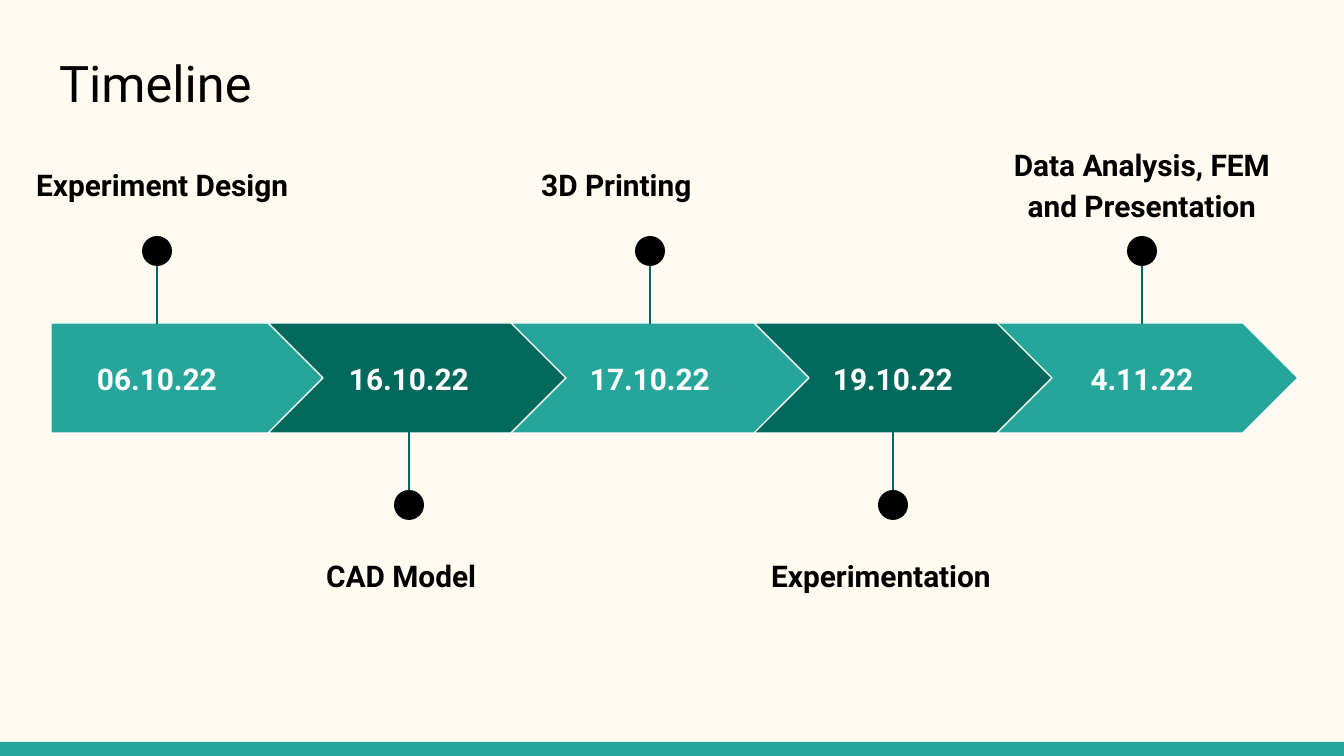
from dataclasses import dataclass

from lxml.etree import SubElement
from pptx import Presentation
from pptx.dml.color import RGBColor
from pptx.enum.shapes import MSO_CONNECTOR, MSO_SHAPE
from pptx.enum.text import MSO_ANCHOR, PP_ALIGN
from pptx.oxml.ns import qn
from pptx.util import Emu, Pt


@dataclass(frozen=True)
class Theme:
    font: str = "Roboto"
    background: str = "FFFBF0"
    light: str = "26A69A"
    dark: str = "00695C"
    ink: str = "000000"
    white: str = "FFFFFF"
    title_size: int = 27
    text_size: int = 16
    line_width: float = 0.75


THEME = Theme()
EMU_PER_PX = 914400 / 134.4
PAGE_WIDTH, PAGE_HEIGHT = 1344, 756

# Arrow band
BAND_LEFT, BAND_TOP, BAND_HEIGHT = 51, 323, 110
FIRST_WIDTH, CHEVRON_WIDTH = 275, 301
CHEVRON_LEFT, CHEVRON_STEP = 268, 243
DATE_TOP, DATE_WIDTH, DATE_HEIGHT = 344, 194, 69

# Pins: dot top, then line start and end
DOT_SIZE = 30
PIN_ABOVE = (236, 242, 324)
PIN_BELOW = (490, 513, 431)

# Date, centre of date and pin, label, label box, label alignment
STEPS = [
    ("06.10.22", 157, "Experiment Design", (23, 148, 329, 69), PP_ALIGN.LEFT),
    ("16.10.22", 409, "CAD Model", (313, 539, 194, 87), PP_ALIGN.LEFT),
    ("17.10.22", 650, "3D Printing", (528, 148, 243, 69), PP_ALIGN.LEFT),
    ("19.10.22", 893, "Experimentation", (758, 539, 292, 74), PP_ALIGN.LEFT),
    ("4.11.22", 1142, "Data Analysis, FEM and Presentation",
     (984, 128, 316, 110), PP_ALIGN.CENTER),
]


def px(*lengths):
    return [Emu(round(length * EMU_PER_PX)) for length in lengths]


def color(value):
    return RGBColor.from_string(value)


def set_all(target, values):
    for name, value in values.items():
        setattr(target, name, value)


def add_block(parent, kind, bounds, fill, line=None):
    block = parent.shapes.add_shape(kind, *px(*bounds))
    block.shadow.inherit = False
    block.fill.solid()
    block.fill.fore_color.rgb = color(fill)
    if line:
        block.line.color.rgb = color(line)
        block.line.width = Pt(THEME.line_width)
    else:
        block.line.fill.background()
    return block


def add_text(page, text, bounds, font, paragraph, anchor=MSO_ANCHOR.TOP):
    frame = page.shapes.add_textbox(*px(*bounds)).text_frame
    inset = Pt(7.2)
    set_all(frame, {"word_wrap": True, "vertical_anchor": anchor,
                    "margin_left": inset, "margin_right": inset,
                    "margin_top": inset, "margin_bottom": inset})
    para = frame.paragraphs[0]
    set_all(para, paragraph)
    span = para.add_run()
    span.text = text
    ink = font.pop("ink", THEME.ink)
    set_all(span.font, {"name": THEME.font, **font})
    span.font.color.rgb = color(ink)


def add_pin(page, center, heights):
    dot_top, start, end = heights
    pin = page.shapes.add_group_shape()
    line = pin.shapes.add_connector(
        MSO_CONNECTOR.STRAIGHT, *px(center, start, center, end))
    line.line.color.rgb = color(THEME.dark)
    line.line.width = Pt(THEME.line_width)
    SubElement(line.element.spPr, qn("a:effectLst"))
    add_block(pin, MSO_SHAPE.OVAL,
              (center - DOT_SIZE / 2, dot_top, DOT_SIZE, DOT_SIZE), THEME.ink)


def add_step(page, index, date, center, label, label_box, alignment):
    # Arrow segment
    if index == 0:
        kind, left, width = MSO_SHAPE.PENTAGON, BAND_LEFT, FIRST_WIDTH
    else:
        kind, width = MSO_SHAPE.CHEVRON, CHEVRON_WIDTH
        left = CHEVRON_LEFT + (index - 1) * CHEVRON_STEP
    odd = index % 2
    segment = add_block(page, kind, (left, BAND_TOP, width, BAND_HEIGHT),
                        THEME.dark if odd else THEME.light, THEME.white)
    segment.adjustments[0] = 0.5

    # Date, pin and label
    bold = {"size": Pt(THEME.text_size), "bold": True}
    add_text(page, date,
             (center - DATE_WIDTH / 2, DATE_TOP, DATE_WIDTH, DATE_HEIGHT),
             {**bold, "ink": THEME.white}, {"alignment": PP_ALIGN.CENTER},
             MSO_ANCHOR.MIDDLE)
    add_pin(page, center, PIN_BELOW if odd else PIN_ABOVE)
    add_text(page, label, label_box, {**bold},
             {"alignment": alignment, "line_spacing": 1.15,
              "space_after": Pt(12)})


def main():
    deck = Presentation()
    deck.slide_width, deck.slide_height = px(PAGE_WIDTH, PAGE_HEIGHT)
    page = deck.slides.add_slide(deck.slide_layouts[6])
    page.background.fill.solid()
    page.background.fill.fore_color.rgb = color(THEME.background)

    # Bottom bar
    add_block(page, MSO_SHAPE.RECTANGLE, (0, 742, PAGE_WIDTH, 14), THEME.light)

    # Timeline
    for index, step in enumerate(STEPS):
        add_step(page, index, *step)

    # Title
    add_text(page, "Timeline", (46, 39, 1253, 90),
             {"size": Pt(THEME.title_size)}, {"alignment": PP_ALIGN.LEFT})
    deck.save("out.pptx")


if __name__ == "__main__":
    main()
